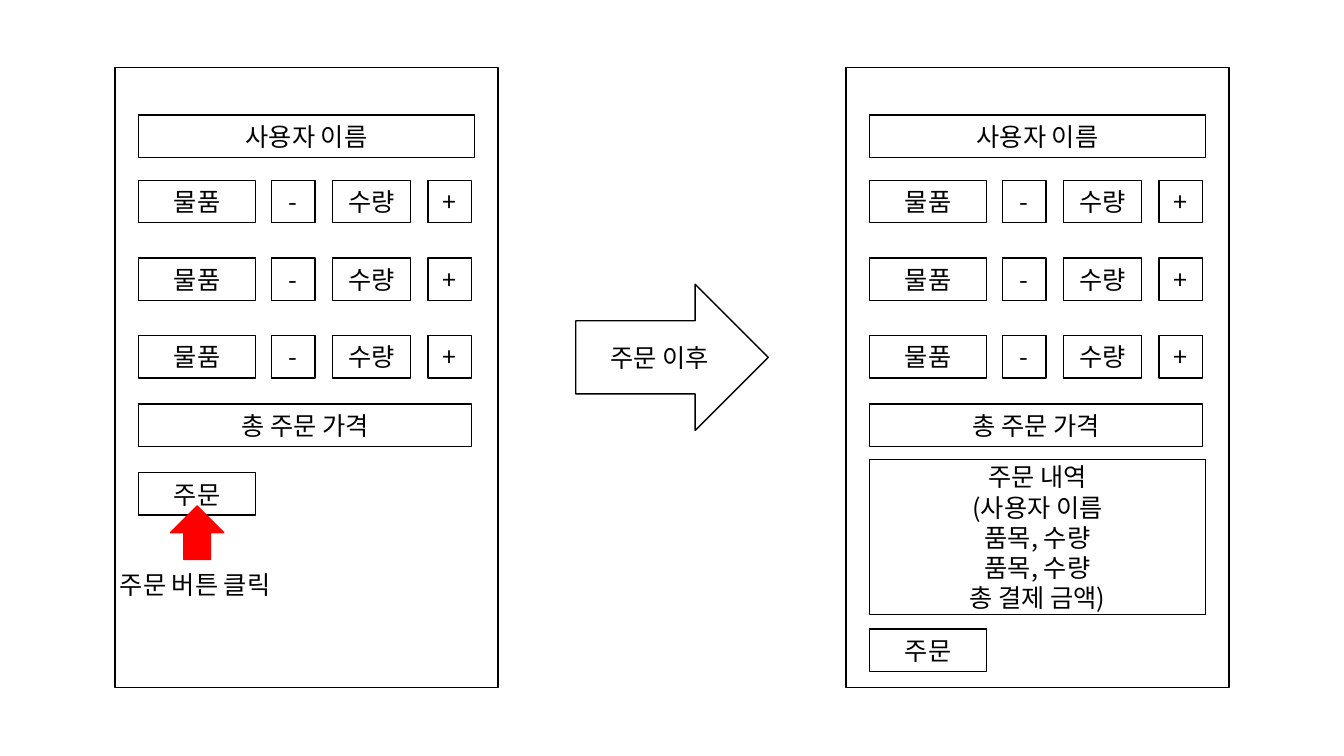
from pptx import Presentation
from pptx.dml.color import RGBColor
from pptx.enum.shapes import MSO_SHAPE
from pptx.enum.text import MSO_ANCHOR, MSO_AUTO_SIZE, PP_ALIGN
from pptx.oxml.ns import qn
from pptx.util import Inches, Pt
from lxml import etree

RECT, RIGHT_ARROW, UP_ARROW = MSO_SHAPE.RECTANGLE, MSO_SHAPE.RIGHT_ARROW, MSO_SHAPE.UP_ARROW
MIDDLE, CENTER, LEFT = MSO_ANCHOR.MIDDLE, PP_ALIGN.CENTER, PP_ALIGN.LEFT
GROW = MSO_AUTO_SIZE.SHAPE_TO_FIT_TEXT
FONT = "Noto Sans CJK KR"
BLACK, WHITE, RED = "000000", "FFFFFF", "FF0000"

prs = Presentation()
prs.slide_width, prs.slide_height = Inches(13.33), Inches(7.5)
slide = prs.slides.add_slide(prs.slide_layouts[6])


def write(frame, lines, align=CENTER):
    frame.word_wrap = True
    for i, line in enumerate(lines):
        paragraph = frame.paragraphs[0] if i == 0 else frame.add_paragraph()
        paragraph.alignment = align
        run = paragraph.add_run()
        run.text = line
        run.font.size = Pt(18)
        run.font.name = FONT
        run.font.color.rgb = RGBColor.from_string(BLACK)
        etree.SubElement(run.font._element, qn("a:ea"), typeface=FONT)


def draw(preset, left, top, width, height, lines=(), fill=WHITE, line=BLACK):
    shape = slide.shapes.add_shape(preset, Inches(left), Inches(top), Inches(width), Inches(height))
    shape.shadow.inherit = False
    shape.fill.solid()
    shape.fill.fore_color.rgb = RGBColor.from_string(fill)
    shape.line.color.rgb = RGBColor.from_string(line)
    shape.line.width = Pt(1)
    shape.text_frame.vertical_anchor = MIDDLE
    write(shape.text_frame, lines)
    return shape


# Layout shared by both screens
SCREEN_TOP, SCREEN_W, SCREEN_H = 0.67, 3.8, 6.15
PADDING = 0.235
FIELD_H, FULL_W, TOTAL_W, ITEM_W = 0.42, 3.33, 3.3, 1.16
FIRST_ROW, ROW_STEP, ROWS = 1.79, 0.77, 3
item_cells = [("물품", 0, ITEM_W), ("-", 1.32, 0.43), ("수량", 1.92, 0.78), ("+", 2.87, 0.43)]
receipt = ["주문 내역", "(사용자 이름", "품목, 수량", "품목, 수량", "총 결제 금액)"]

# Order screen before and after ordering
for screen_left, order_top, details in [(1.14, 4.69, []), (8.39, 6.24, receipt)]:
    left = screen_left + PADDING
    draw(RECT, screen_left, SCREEN_TOP, SCREEN_W, SCREEN_H)
    draw(RECT, left, 1.14, FULL_W, FIELD_H, ["사용자 이름"])
    for row in range(ROWS):
        for label, offset, width in item_cells:
            draw(RECT, left + offset, FIRST_ROW + row * ROW_STEP, width, FIELD_H, [label])
    draw(RECT, left, 4.01, TOTAL_W, FIELD_H, ["총 주문 가격"])
    if details:
        draw(RECT, left, 4.56, FULL_W, 1.54, details)
    draw(RECT, left, order_top, ITEM_W, FIELD_H, ["주문"])

# Transition between the screens
transition = draw(RIGHT_ARROW, 5.71, 2.82, 1.91, 1.45, ["주문 이후"])
transition.text_frame.margin_left = Inches(0.21)

# Pointer to the order button and its caption
draw(UP_ARROW, 1.69, 5.02, 0.53, 0.53, fill=RED, line=RED)
caption = slide.shapes.add_textbox(Inches(1.09), Inches(5.6), Inches(1.95), Inches(0.4))
write(caption.text_frame, ["주문 버튼 클릭"], LEFT)
caption.text_frame.auto_size = GROW

prs.save("out.pptx")
